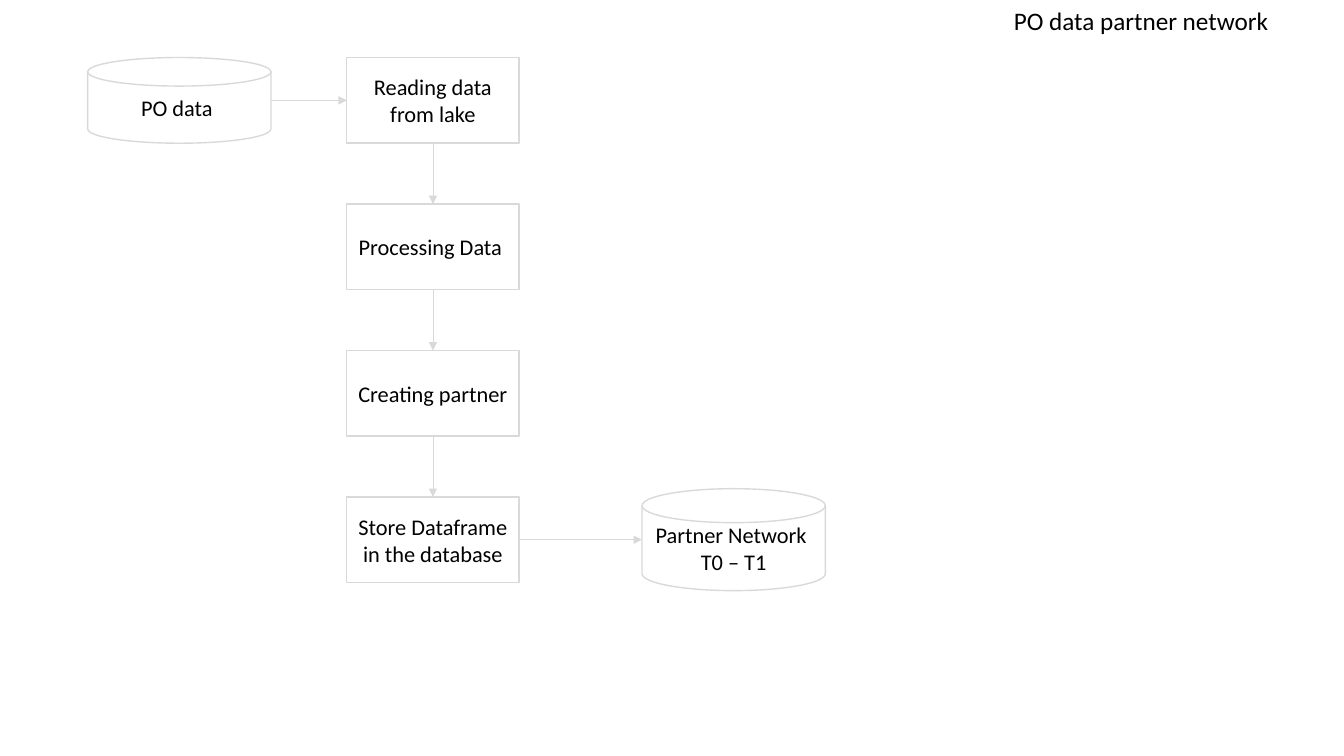
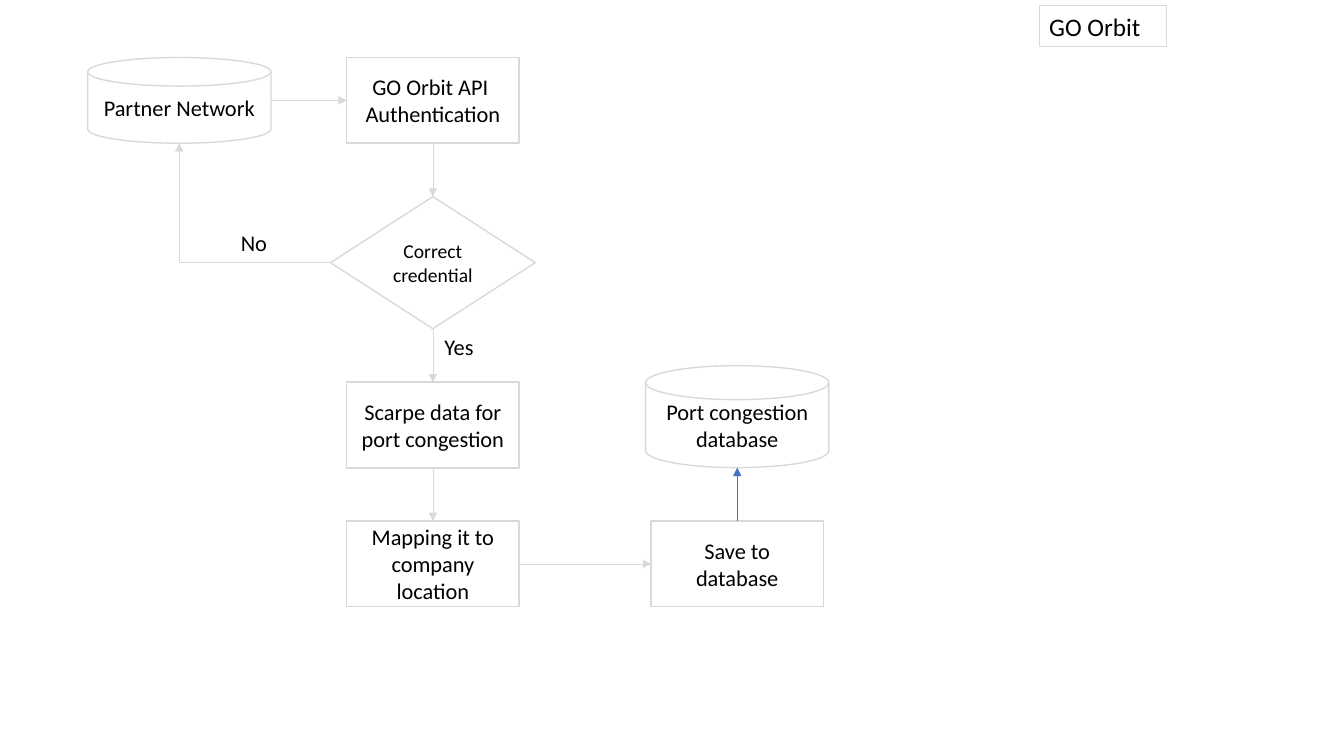
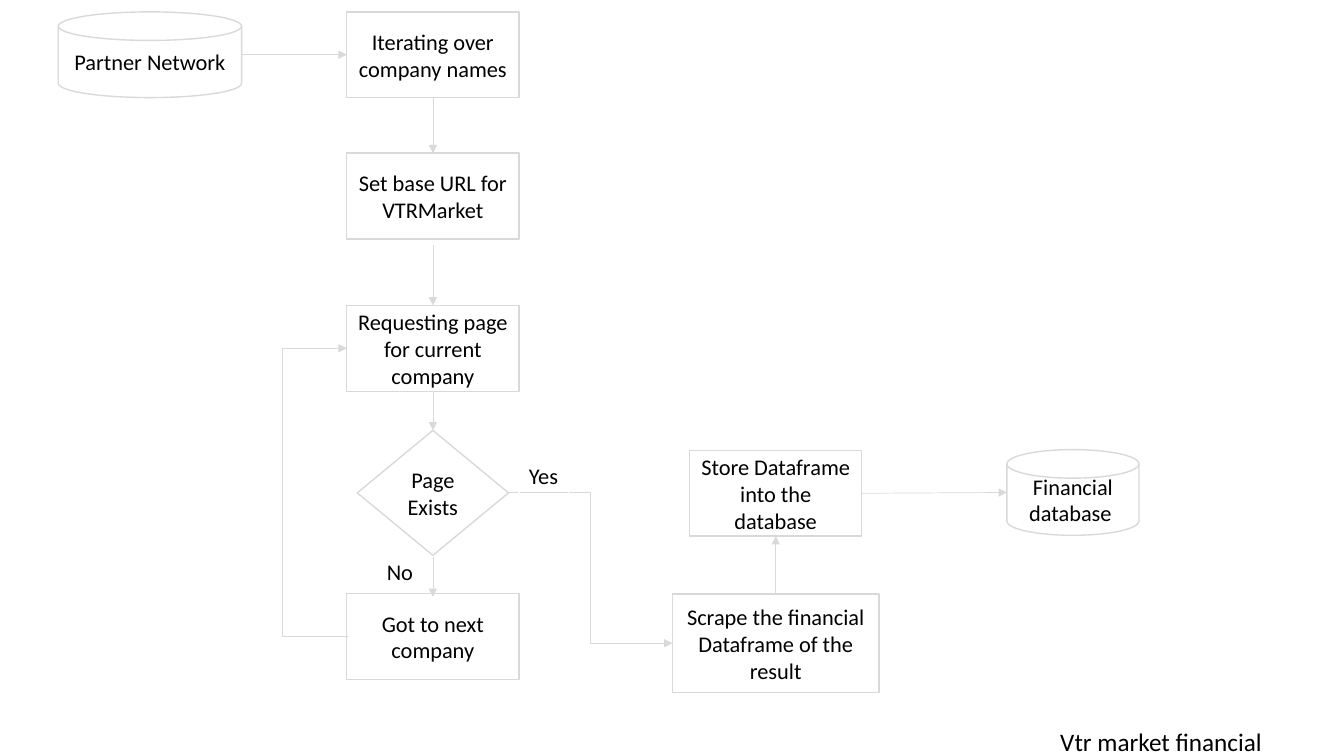
"""Build three flow charts of data pipelines and save them as one deck."""
from dataclasses import dataclass, field
from enum import Enum

from lxml import etree
from pptx import Presentation
from pptx.dml import color as dml
from pptx.enum import shapes, text
from pptx.oxml import ns
from pptx.util import Cm, Pt


@dataclass(frozen=True)
class Theme:
    font: str = "Calibri"
    ink: str = "000000"
    paper: str = "FFFFFF"
    rule: str = "D9D9D9"
    accent: str = "4472C4"
    title: float = 18
    body: float = 16
    small: float = 14
    edge: float = 1
    frame: float = 0.75
    wire: float = 0.5


THEME = Theme()
BOX = shapes.MSO_SHAPE.RECTANGLE
DISK = shapes.MSO_SHAPE.FLOWCHART_MAGNETIC_DISK
GEM = shapes.MSO_SHAPE.DIAMOND
WIDTHS = {BOX: 4.34, DISK: 4.62, GEM: 5.16}
HIGH = 2.16
TALL = 2.57
COL = 10.91


class Side(Enum):
    TOP = (0, -0.5)
    LEFT = (-0.5, 0)
    DOWN = (0, 0.5)
    RIGHT = (0.5, 0)


@dataclass
class Node:
    words: str
    x: float
    y: float
    kind: shapes.MSO_SHAPE = BOX
    w: float = 0
    h: float = HIGH
    size: float = THEME.body

    def port(self, side: Side) -> tuple[float, float]:
        dx, dy = side.value
        wide = self.w or WIDTHS[self.kind]
        return self.x + dx * wide, self.y + dy * self.h


@dataclass
class Link:
    head: str
    tail: str
    out: Side = Side.DOWN
    into: Side = Side.TOP
    color: str = THEME.rule
    elbow: bool = False
    bend: float | None = None
    shift: tuple[float, float] = (0, 0)
    drop: float = 0


@dataclass
class Label:
    words: str
    x: float
    y: float
    w: float = 1.24
    h: float = 0.94
    size: float = THEME.body
    frame: str = ""


@dataclass
class Page:
    nodes: dict[str, Node]
    links: list[Link]
    labels: list[Label] = field(default_factory=list)


def rgb(code: str) -> dml.RGBColor:
    return dml.RGBColor.from_string(code)


def write(frame, words: str, size: float, align=None) -> None:
    frame.text = words
    for para in frame.paragraphs:
        para.alignment = align
        para.font.name = THEME.font
        para.font.size = Pt(size)
        para.font.color.rgb = rgb(THEME.ink)


def stroke(line, color: str, width: float) -> None:
    line.color.rgb = rgb(color)
    line.width = Pt(width)


def draw_node(slide, node: Node) -> None:
    left, top = node.port(Side.LEFT)[0], node.port(Side.TOP)[1]
    wide = node.w or WIDTHS[node.kind]
    shape = slide.shapes.add_shape(node.kind, Cm(left), Cm(top), Cm(wide), Cm(node.h))
    shape.shadow.inherit = False
    shape.fill.solid()
    shape.fill.fore_color.rgb = rgb(THEME.paper)
    stroke(shape.line, THEME.rule, THEME.edge)
    shape.text_frame.vertical_anchor = text.MSO_ANCHOR.MIDDLE
    write(shape.text_frame, node.words, node.size, text.PP_ALIGN.CENTER)


def draw_link(slide, link: Link, nodes: dict[str, Node]) -> None:
    x1, y1 = nodes[link.head].port(link.out)
    x2, y2 = nodes[link.tail].port(link.into)
    x1, y1, y2 = x1 + link.shift[0], y1 + link.shift[1], y2 + link.drop
    kind = shapes.MSO_CONNECTOR.ELBOW if link.elbow else shapes.MSO_CONNECTOR.STRAIGHT
    wire = slide.shapes.add_connector(kind, Cm(x1), Cm(y1), Cm(x2), Cm(y2))
    stroke(wire.line, link.color, THEME.wire)
    props = wire._element.spPr
    etree.SubElement(props.find(ns.qn("a:ln")), ns.qn("a:tailEnd"), type="triangle")
    etree.SubElement(props, ns.qn("a:effectLst"))
    geom = props.find(ns.qn("a:prstGeom"))
    if link.elbow and link.into in (Side.TOP, Side.DOWN):
        geom.set("prst", "bentConnector2")
    if link.bend is not None:
        ratio = round((link.bend - x1) / (x2 - x1) * 100000)
        guides = geom.find(ns.qn("a:avLst"))
        etree.SubElement(guides, ns.qn("a:gd"), name="adj1", fmla=f"val {ratio}")


def draw_label(slide, label: Label) -> None:
    box = slide.shapes.add_textbox(Cm(label.x), Cm(label.y), Cm(label.w), Cm(label.h))
    if label.frame:
        stroke(box.line, label.frame, THEME.frame)
    box.text_frame.word_wrap = False
    write(box.text_frame, label.words, label.size)
    box.text_frame.auto_size = text.MSO_AUTO_SIZE.SHAPE_TO_FIT_TEXT


def title(words: str, x: float, y: float, w: float, frame: str = "") -> Label:
    return Label(words, x, y, w, 1.02, THEME.title, frame)


def across(head: str, tail: str) -> Link:
    return Link(head, tail, Side.RIGHT, Side.LEFT)


def rise(head: str, tail: str, color: str = THEME.rule) -> Link:
    return Link(head, tail, Side.TOP, Side.DOWN, color)


def partner() -> Page:
    rows = [2.53 + 3.69 * step for step in range(4)]
    return Page(
        {
            "data": Node("PO data ", 4.52, rows[0], DISK),
            "read": Node("Reading data from lake", COL, rows[0]),
            "clean": Node("Processing Data ", COL, rows[1]),
            "make": Node("Creating partner", COL, rows[2]),
            "store": Node("Store Dataframe in the database", COL, rows[3]),
            "net": Node("Partner Network \nT0 – T1", 18.49, rows[3], DISK, h=TALL),
        },
        [
            across("data", "read"),
            Link("read", "clean"),
            Link("clean", "make"),
            Link("make", "store"),
            across("store", "net"),
        ],
        [title("PO data partner network", 25.3, 0, 6.98)],
    )


def port() -> Page:
    return Page(
        {
            "net": Node("Partner Network", 4.52, 2.53, DISK),
            "login": Node("GO Orbit API \nAuthentication", COL, 2.53),
            "check": Node("Correct credential", COL, 6.62, GEM, h=3.33, size=THEME.small),
            "scrape": Node("Scarpe data for port congestion", COL, 10.71),
            "map": Node("Mapping it to company location", COL, 14.21),
            "save": Node("Save to database", 18.58, 14.21),
            "base": Node("Port congestion database", 18.58, 10.5, DISK, h=TALL),
        },
        [
            across("net", "login"),
            Link("login", "check"),
            Link("check", "net", Side.LEFT, Side.DOWN, elbow=True),
            Link("check", "scrape"),
            Link("scrape", "map"),
            across("map", "save"),
            rise("save", "base", THEME.accent),
        ],
        [
            title("GO Orbit", 26.19, 0.15, 3.2, THEME.rule),
            Label("Yes", 10.95, 8.28),
            Label("No", 5.82, 5.66, 1.19),
        ],
    )


def finance() -> Page:
    return Page(
        {
            "net": Node("Partner Network", 3.78, 1.38, DISK),
            "names": Node("Iterating over company names", COL, 1.38),
            "url": Node("Set base URL for VTRMarket", COL, 4.94),
            "ask": Node("Requesting page for current company", COL, 8.78),
            "check": Node("Page Exists", COL, 12.42, GEM, 3.81, 3.15),
            "next": Node("Got to next company", COL, 16.04),
            "scrape": Node("Scrape the financial Dataframe of the result",
                           19.55, 16.21, w=5.21, h=2.49),
            "store": Node("Store Dataframe into the database", 19.55, 12.43),
            "base": Node("Financial database ", 27.04, 12.41, DISK, 3.33),
        },
        [
            across("net", "names"),
            Link("names", "url"),
            Link("url", "ask", shift=(0, 0.15)),
            Link("ask", "check"),
            Link("check", "next", shift=(0, 0.05), drop=0.08),
            Link("next", "ask", Side.LEFT, Side.LEFT, elbow=True, bend=7.11, shift=(0.02, 0)),
            Link("check", "scrape", Side.RIGHT, Side.LEFT, elbow=True),
            rise("scrape", "store"),
            across("store", "base"),
        ],
        [
            Label("Yes", 13.08, 11.53, frame=THEME.paper),
            Label("No", 9.5, 13.94, 1.19, frame=THEME.paper),
            title("Vtr market financial", 26.47, 18.19, 5.59),
        ],
    )


def main() -> None:
    deck = Presentation()
    deck.slide_width, deck.slide_height = Cm(33.87), Cm(19.05)
    for page in (partner(), port(), finance()):
        slide = deck.slides.add_slide(deck.slide_layouts[6])
        for node in page.nodes.values():
            draw_node(slide, node)
        for link in page.links:
            draw_link(slide, link, page.nodes)
        for label in page.labels:
            draw_label(slide, label)
    deck.save("out.pptx")


main()
